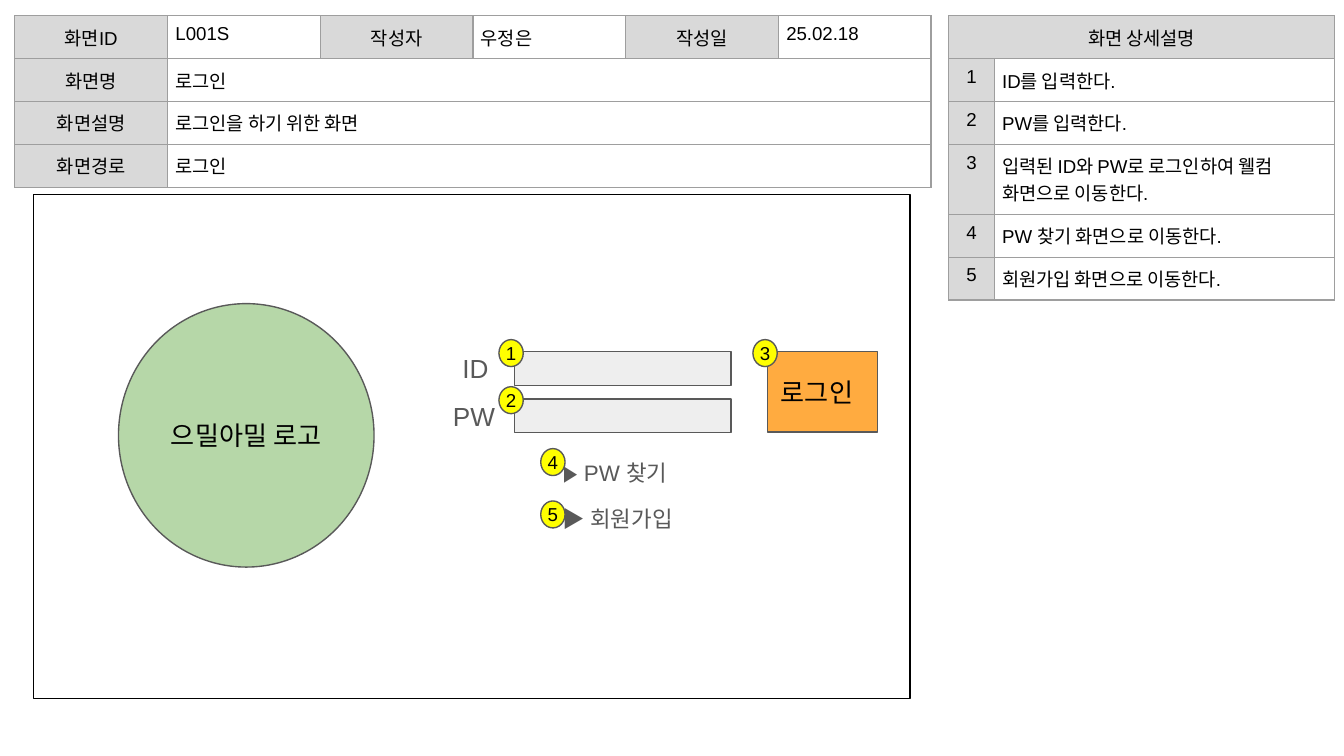
from dataclasses import dataclass

from lxml.etree import SubElement
from pptx import Presentation
from pptx.dml.color import RGBColor
from pptx.enum.shapes import MSO_SHAPE
from pptx.enum.text import MSO_ANCHOR, MSO_AUTO_SIZE, PP_ALIGN
from pptx.oxml.ns import qn
from pptx.util import Cm, Pt


@dataclass(frozen=True)
class Theme:
    font: str = "Arial"
    ink: str = "000000"
    muted: str = "595959"
    grid: str = "9E9E9E"
    header: str = "D9D9D9"
    field: str = "EEEEEE"
    logo: str = "B6D7A8"
    button: str = "FFAB40"
    marker: str = "FFFF00"
    small: float = 10
    medium: float = 12
    large: float = 14
    line: float = 0.75


@dataclass(frozen=True)
class Box:
    left: float
    top: float
    width: float
    height: float

    def inner(self, left, top, width, height):
        return Box(self.left + left, self.top + top, width, height)

    def lengths(self):
        return [Cm(value) for value in (self.left, self.top, self.width, self.height)]


THEME = Theme()
HEADER_ROWS = [
    ["화면ID", "L001S", "작성자", "우정은", "작성일", "25.02.18"],
    ["화면명", "로그인"],
    ["화면설명", "로그인을 하기 위한 화면"],
    ["화면경로", "로그인"],
]
DETAIL_TITLE = "화면 상세설명"
DETAILS = [
    "ID를 입력한다.",
    "PW를 입력한다.",
    "입력된 ID와 PW로 로그인하여 웰컴\n화면으로 이동한다.",
    "PW 찾기 화면으로 이동한다.",
    "회원가입 화면으로 이동한다.",
]


def write(frame, text, size, color=THEME.ink, align=PP_ALIGN.LEFT, margin=0.25):
    frame.margin_left = frame.margin_right = Cm(margin)
    frame.margin_top = frame.margin_bottom = Cm(margin)
    frame.text = text
    for para in frame.paragraphs:
        para.alignment = align
        para.font.name = THEME.font
        para.font.size = Pt(size)
        para.font.color.rgb = RGBColor.from_string(color)


def add_panel(page, box, kind=MSO_SHAPE.RECTANGLE, fill=None, line=THEME.muted):
    shape = page.shapes.add_shape(kind, *box.lengths())
    shape.shadow.inherit = False
    shape.line.color.rgb = RGBColor.from_string(line)
    shape.line.width = Pt(THEME.line)
    if fill:
        shape.fill.solid()
        shape.fill.fore_color.rgb = RGBColor.from_string(fill)
    else:
        shape.fill.background()
    shape.text_frame.word_wrap = True
    shape.text_frame.vertical_anchor = MSO_ANCHOR.MIDDLE
    return shape


def add_label(page, box, text, size):
    frame = page.shapes.add_textbox(*box.lengths()).text_frame
    frame.word_wrap = True
    frame.auto_size = MSO_AUTO_SIZE.SHAPE_TO_FIT_TEXT
    write(frame, text, size, THEME.muted)


def add_marker(page, box, number):
    shape = add_panel(page, box, MSO_SHAPE.OVAL, THEME.marker)
    write(shape.text_frame, str(number), THEME.small, align=PP_ALIGN.CENTER, margin=0)


def add_grid(page, box, widths, heights):
    table = page.shapes.add_table(len(heights), len(widths), *box.lengths()).table
    table.first_row = table.horz_banding = False
    for column, width in zip(table.columns, widths):
        column.width = Cm(width)
    for row, height in zip(table.rows, heights):
        row.height = Cm(height)
    for cell in table.iter_cells():
        properties = cell._tc.get_or_add_tcPr()
        for side in ("a:lnL", "a:lnR", "a:lnT", "a:lnB"):
            border = SubElement(properties, qn(side), w=str(Pt(THEME.line)))
            solid = SubElement(border, qn("a:solidFill"))
            SubElement(solid, qn("a:srgbClr"), val=THEME.grid)
        cell.fill.background()
    return table


def fill_cell(cell, text, is_header):
    align = PP_ALIGN.CENTER if is_header else PP_ALIGN.LEFT
    write(cell.text_frame, text, THEME.small, align=align)
    cell.margin_left = cell.margin_right = Cm(0.15)
    cell.margin_top = cell.margin_bottom = Cm(0.15)
    if is_header:
        cell.fill.solid()
        cell.fill.fore_color.rgb = RGBColor.from_string(THEME.header)


def add_screen_header(page, box):
    count = len(HEADER_ROWS[0])
    row_height = box.height / len(HEADER_ROWS)
    table = add_grid(page, box, [box.width / count] * count, [row_height] * len(HEADER_ROWS))
    for row, texts in enumerate(HEADER_ROWS):
        if len(texts) < count:
            table.cell(row, 1).merge(table.cell(row, count - 1))
        for column, text in enumerate(texts):
            fill_cell(table.cell(row, column), text, column % 2 == 0)


def add_detail_table(page, box):
    number_width = 0.86
    heights = [0.81] + [1.32 if "\n" in text else 0.81 for text in DETAILS]
    table = add_grid(page, box, [number_width, box.width - number_width], heights)
    table.cell(0, 0).merge(table.cell(0, 1))
    fill_cell(table.cell(0, 0), DETAIL_TITLE, True)
    for number, text in enumerate(DETAILS, 1):
        fill_cell(table.cell(number, 0), str(number), True)
        fill_cell(table.cell(number, 1), text, False)


def add_login_screen(page, box):
    add_panel(page, box, line=THEME.ink)
    logo = add_panel(page, box.inner(1.6, 2.06, 4.83, 4.98), MSO_SHAPE.OVAL, THEME.logo)
    write(logo.text_frame, "으밀아밀 로고", THEME.large, align=PP_ALIGN.CENTER)

    for index, (text, left, width) in enumerate([("ID", 7.85, 1.27), ("PW", 7.67, 1.42)]):
        shift = index * 0.89
        add_label(page, box.inner(left, 2.74 + shift, width, 1.12), text, THEME.large)
        add_panel(page, box.inner(9.09, 2.97 + shift, 4.09, 0.64), fill=THEME.field)

    button = add_panel(page, box.inner(13.87, 2.97, 2.08, 1.52), fill=THEME.button)
    write(button.text_frame, "로그인", THEME.large)

    for index, text in enumerate(["▶ PW 찾기", "▶ 회원가입"]):
        add_label(page, box.inner(9.75, 4.75 + index * 0.86, 3.33, 1.02), text, THEME.medium)

    marker_places = [(8.79, 2.74), (8.79, 3.63), (13.59, 2.74), (9.58, 4.8), (9.58, 5.79)]
    for number, (left, top) in enumerate(marker_places, 1):
        add_marker(page, box.inner(left, top, 0.46, 0.51), number)


def main():
    deck = Presentation()
    deck.slide_width, deck.slide_height = Cm(25.4), Cm(14.29)
    page = deck.slides.add_slide(deck.slide_layouts[6])
    add_screen_header(page, Box(0.28, 0.3, 17.32, 3.24))
    add_detail_table(page, Box(17.93, 0.3, 7.29, 5.37))
    add_login_screen(page, Box(0.64, 3.68, 16.56, 9.53))
    deck.save("out.pptx")


if __name__ == "__main__":
    main()
